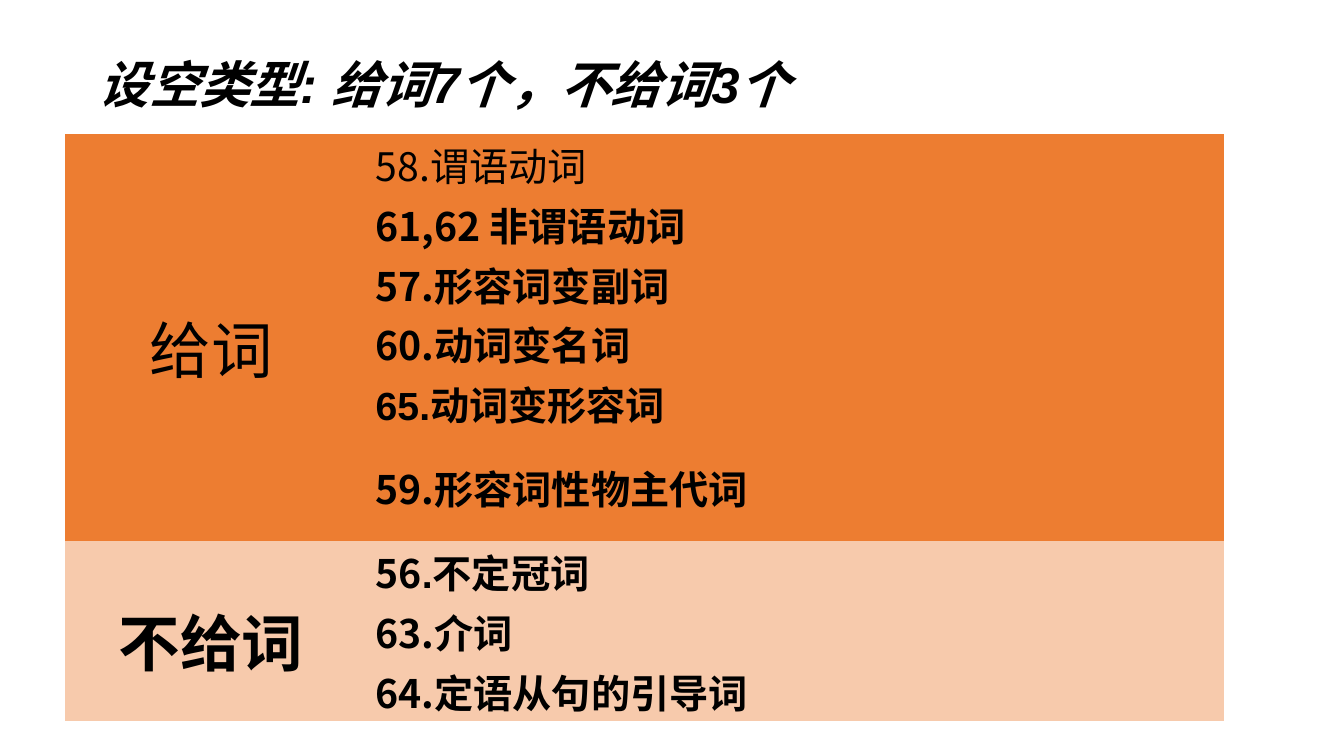
from pptx import Presentation
from pptx import util as u
from pptx.dml.color import RGBColor
from pptx.enum import text

HUE = {"ink": "000000", "deep": "ED7D31", "pale": "F7CAAC"}
SANS, CJK = "Arial", "Noto Sans CJK SC"
GROUPS = [
    ("给词", False, "deep", [
        [("58.谓语动词", CJK)],
        [("61,62 非谓语动词", CJK)],
        [("57.形容词变副词", CJK)],
        [("60.动词变名词", CJK)],
        [("65.", SANS), ("动词变形容词", CJK)],
        [("59.形容词性物主代词", CJK)],
    ]),
    ("不给词", True, "pale", [
        [("56", CJK), (".不定", SANS), ("冠词", CJK)],
        [("63.介词", CJK)],
        [("64.定语从句的引导词", CJK)],
    ]),
]
ROW, TALL, LAST = 0.595, 1.0, 5
COLS = [2.89, 8.61]


def write(para, parts, align, **form):
    para.alignment = align
    for words, face in parts:
        run = para.add_run()
        run.text = words
        run.font.name = face
        run.font.color.rgb = RGBColor.from_string(HUE["ink"])
        for key, val in form.items():
            setattr(run.font, key, val)


def dress(cell, hue):
    cell.fill.solid()
    cell.fill.fore_color.rgb = RGBColor.from_string(HUE[hue])
    cell.vertical_anchor = text.MSO_ANCHOR.MIDDLE
    cell.margin_left = cell.margin_right = u.Inches(0.19)
    cell.margin_top = cell.margin_bottom = 0


deck = Presentation()
deck.slide_width, deck.slide_height = u.Inches(13.34), u.Inches(7.5)
slide = deck.slides.add_slide(deck.slide_layouts[5])

title = slide.shapes.title
place = {"left": 0.88, "top": 0.48, "width": 11.72, "height": 0.7}
for key, val in place.items():
    setattr(title, key, u.Inches(val))
title.text_frame.vertical_anchor = text.MSO_ANCHOR.TOP
title.text_frame.auto_size = text.MSO_AUTO_SIZE.NONE
write(title.text_frame.paragraphs[0], [("设空类型: 给词7个，不给词3个", SANS)],
      text.PP_ALIGN.LEFT, size=u.Pt(36), bold=True, italic=True)

count = sum(len(group[3]) for group in GROUPS)
high = ROW * (count - 1) + TALL
frame = slide.shapes.add_table(count, len(COLS), u.Inches(0.65), u.Inches(1.33),
                               u.Inches(sum(COLS)), u.Inches(high))
table = frame.table
table.first_row = table.horz_banding = False
table._tbl.tblPr[0].text = "{2D5ABB26-0587-4C30-8999-92F81FD0307C}"
for col, wide in zip(table.columns, COLS):
    col.width = u.Inches(wide)
for row in table.rows:
    row.height = u.Inches(ROW)
table.rows[LAST].height = u.Inches(TALL)

top = 0
for label, heavy, hue, items in GROUPS:
    for step, parts in enumerate(items):
        for col in range(len(COLS)):
            dress(table.cell(top + step, col), hue)
        para = table.cell(top + step, 1).text_frame.paragraphs[0]
        write(para, parts, text.PP_ALIGN.JUSTIFY, size=u.Pt(28), bold=top + step > 0)
    head = table.cell(top, 0)
    head.merge(table.cell(top + len(items) - 1, 0))
    para = head.text_frame.paragraphs[0]
    para.line_spacing = 1.2
    write(para, [(label, SANS)], text.PP_ALIGN.CENTER, size=u.Pt(44), bold=heavy)
    top += len(items)

deck.save("out.pptx")
